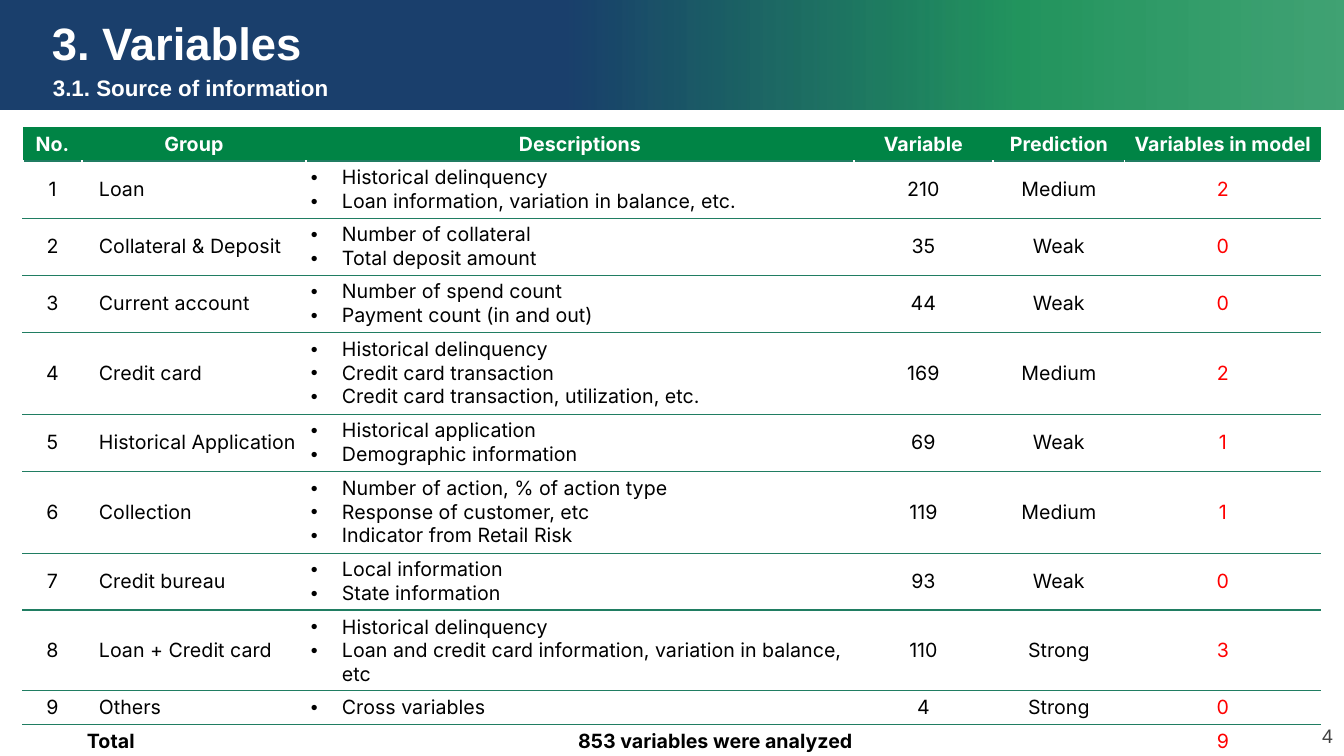
from lxml.etree import SubElement as Sub
from pptx import Presentation
from pptx.dml.color import RGBColor as Rgb
from pptx.enum.shapes import MSO_SHAPE as Shape
from pptx.enum.text import MSO_ANCHOR as Anchor, PP_ALIGN as Align
from pptx.oxml.ns import qn
from pptx.util import Pt

TITLE = "3. Variables"
SUB = "3.1. Source of information"
PAGE = "4"
HEADS = ["No.", "Group", "Descriptions", "Variable", "Prediction", "Variables in model"]
GROUPS = [
    ("Loan", ["Historical delinquency", "Loan information, variation in balance, etc."], 210, "Medium", 2),
    ("Collateral & Deposit", ["Number of collateral", "Total deposit amount"], 35, "Weak", 0),
    ("Current account", ["Number of spend count", "Payment count (in and out)"], 44, "Weak", 0),
    ("Credit card", ["Historical delinquency", "Credit card transaction",
                     "Credit card transaction, utilization, etc."], 169, "Medium", 2),
    ("Historical Application", ["Historical application", "Demographic information"], 69, "Weak", 1),
    ("Collection", ["Number of action, % of action type", "Response of customer, etc",
                    "Indicator from Retail Risk"], 119, "Medium", 1),
    ("Credit bureau", ["Local information", "State information"], 93, "Weak", 0),
    ("Loan + Credit card", ["Historical delinquency",
                            "Loan and credit card information, variation in balance, etc"], 110, "Strong", 3),
    ("Others", ["Cross variables"], 4, "Strong", 0),
]
TOTAL = ["", "Total", "853 variables were analyzed", "", "", "9"]

THEME = {
    "navy": "1A3F6C", "green": "008445", "rule": "207D62", "white": "FFFFFF",
    "black": "000000", "red": "FF0000", "gray": "404040",
    "title": 32.4, "sub": 16, "body": 14, "sans": "Arial", "grid": "Inter",
}
STOPS = [(0, "navy", 100), (42, "navy", 100), (76, "green", 86), (100, "green", 74)]
WIDE, HIGH = 1344, 756
COLS = [59, 224, 548, 139, 132, 196]
TALL = {1: 34, 2: 57, 3: 82}
LEFT, TOP, DEEP = 23, 127, 606
PAD, DENT, HANG = 5, 12, 31


def px(n):
    return round(n * 914400 / 100.8)


def write(para, text, size, font, color, bold=False, align=None):
    run = para.add_run()
    run.text = text
    run.font.size, run.font.name, run.font.bold = Pt(THEME[size]), THEME[font], bold
    run.font.color.rgb = Rgb.from_string(THEME[color])
    para.alignment = align


def label(box, text, size, color, bold, align, anchor):
    frame = slide.shapes.add_textbox(*map(px, box)).text_frame
    frame.word_wrap, frame.vertical_anchor = True, anchor
    write(frame.paragraphs[0], text, size, "sans", color, bold, align)


def indent(para, left, hang=0):
    props = para._p.get_or_add_pPr()
    props.set("marL", str(px(left)))
    props.set("indent", str(-px(hang)))
    if hang:
        Sub(props, qn("a:buFont")).set("typeface", THEME["sans"])
        Sub(props, qn("a:buChar")).set("char", "•")


def border(cell, sides):
    props = cell._tc.get_or_add_tcPr()
    for spot, (side, (color, width)) in enumerate(sides.items()):
        line = Sub(props, qn("a:ln" + side))
        props.insert(spot, line)
        if width:
            line.set("w", str(Pt(width)))
            Sub(Sub(line, qn("a:solidFill")), qn("a:srgbClr")).set("val", THEME[color])
        else:
            line.set("w", "0")
            Sub(line, qn("a:noFill"))


def edge(row):
    return "rule", 0 if row < 0 else 0.5 if 1 <= row <= 6 else 1


def fill_cell(cell, row, col, value):
    head, total = row == 0, row == last
    cell.vertical_anchor = Anchor.MIDDLE
    cell.margin_left = cell.margin_right = cell.margin_top = cell.margin_bottom = px(PAD)
    if head:
        cell.fill.solid()
        cell.fill.fore_color.rgb = Rgb.from_string(THEME["green"])
    else:
        cell.fill.background()
    side = ("white", 0 if head or total else 1)
    border(cell, {"L": side, "R": side, "T": edge(row - 1), "B": edge(row)})
    color = "white" if head else "red" if col == 5 else "black"
    bold = head or total and col < 5
    bullet = isinstance(value, list)
    group = col == 1 and not head
    align = Align.LEFT if group or bullet else Align.CENTER
    frame = cell.text_frame
    for k, item in enumerate(value if bullet else [value]):
        para = frame.add_paragraph() if k else frame.paragraphs[0]
        if item == "":
            Sub(para._p, qn("a:endParaRPr")).set("sz", str(THEME["body"] * 100))
            continue
        write(para, str(item), "body", "grid", color, bold, align)
        if bullet:
            indent(para, HANG, HANG)
        elif group and not total:
            indent(para, DENT)


deck = Presentation()
deck.slide_width, deck.slide_height = px(WIDE), px(HIGH)
slide = deck.slides.add_slide(deck.slide_layouts[6])

band = slide.shapes.add_shape(Shape.RECTANGLE, 0, 0, px(WIDE), px(109))
band.shadow.inherit = False
band.line.fill.background()
band.fill.gradient()
band.fill.gradient_angle = 0
stops = band._element.spPr.find(qn("a:gradFill")).find(qn("a:gsLst"))
for old in list(stops):
    stops.remove(old)
for spot, color, alpha in STOPS:
    stop = Sub(stops, qn("a:gs"))
    stop.set("pos", str(spot * 1000))
    tint = Sub(stop, qn("a:srgbClr"))
    tint.set("val", THEME[color])
    if alpha < 100:
        Sub(tint, qn("a:alpha")).set("val", str(alpha * 1000))

label((42, 8, 1257, 68), TITLE, "title", "white", True, Align.LEFT, Anchor.MIDDLE)
label((1029, 716, 314, 40), PAGE, "body", "gray", False, Align.RIGHT, Anchor.MIDDLE)

rows = [HEADS, *([n, *group] for n, group in enumerate(GROUPS, 1)), TOTAL]
last = len(rows) - 1
holder = slide.shapes.add_table(len(rows), len(COLS), px(LEFT), px(TOP), px(sum(COLS)), px(DEEP))
table = holder.table
table.first_row = table.horz_banding = False
for col, width in zip(table.columns, COLS):
    col.width = px(width)
for r, values in enumerate(rows):
    lines = len(values[2]) if isinstance(values[2], list) else 1
    table.rows[r].height = px(TALL[lines])
    for c, value in enumerate(values):
        fill_cell(table.cell(r, c), r, c, value)
table.cell(last, 2).merge(table.cell(last, 4))
holder.height = px(DEEP)

label((43, 69, 1257, 42), SUB, "sub", "white", True, Align.JUSTIFY, Anchor.TOP)
deck.save("out.pptx")
